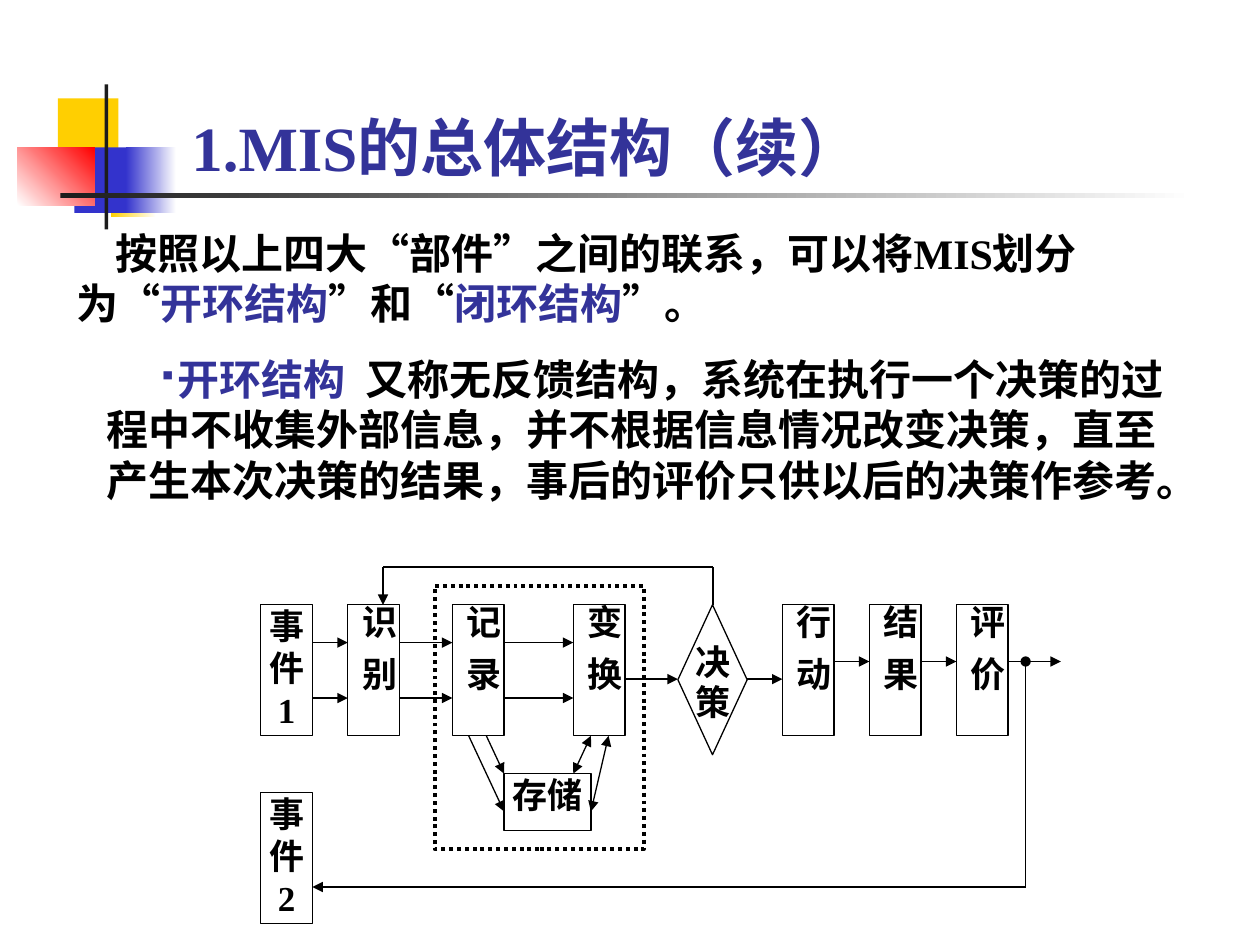
from dataclasses import dataclass

from lxml.etree import SubElement
from pptx import Presentation
from pptx.dml.color import RGBColor
from pptx.enum.dml import MSO_LINE
from pptx.enum.shapes import MSO_CONNECTOR, MSO_SHAPE
from pptx.enum.text import MSO_ANCHOR, PP_ALIGN
from pptx.oxml.ns import qn
from pptx.util import Inches, Pt

BLACK = RGBColor(0x00, 0x00, 0x00)
WHITE = RGBColor(0xFF, 0xFF, 0xFF)
CHARCOAL = RGBColor(0x1C, 0x1C, 0x1C)
NAVY = RGBColor(0x33, 0x33, 0x99)
BLUE = RGBColor(0x33, 0x33, 0xCC)
YELLOW = RGBColor(0xFF, 0xCF, 0x01)
RED = RGBColor(0xFF, 0x00, 0x00)
LATIN_FONT = "Times New Roman"
ASIAN_FONT = "Noto Sans CJK SC"

BOX_W, BOX_H = 0.41, 1.04
ROW_TOP = 4.8
ROW_BOTTOM = ROW_TOP + BOX_H
UPPER, LOWER, MIDDLE, DECISION_Y = 5.1, 5.54, 5.25, 5.39
EVENT_X, IDENTIFY_X, RECORD_X, CONVERT_X = 2.07, 2.76, 3.59, 4.55
DECISION_X, ACTION_X, RESULT_X, REVIEW_X = 5.38, 6.21, 6.9, 7.59
EVENT_2_TOP = 6.29
STORE_LEFT, STORE_RIGHT, STORE_TOP, STORE_SIDE = 4.0, 4.69, 6.14, 6.44
LOOP_Y, LOOP_START, LOOP_END = 4.5, 5.66, 3.04
RETURN_X, RETURN_Y = 8.14, 7.04


@dataclass
class Run:
    text: str
    color: RGBColor = BLACK
    spacing: float = 0


@dataclass
class Bar:
    left: float
    top: float
    width: float
    height: float
    start: RGBColor
    end: RGBColor | None = None
    angle: int = 0


@dataclass
class Node:
    runs: list[Run]
    left: float
    top: float = ROW_TOP
    width: float = BOX_W
    height: float = BOX_H
    shape: MSO_SHAPE = MSO_SHAPE.RECTANGLE
    vertical: bool = False
    leading: float = 24


@dataclass
class Link:
    x1: float
    y1: float
    x2: float
    y2: float
    head: str | None = None
    tail: str | None = "triangle"


def stage(first: str, second: str, left: float) -> Node:
    return Node([Run(first), Run(" ", spacing=5), Run(second)], left, vertical=True)


BARS = [
    Bar(0.46, 0.78, 0.48, 0.52, YELLOW),
    Bar(0.88, 1.2, 0.36, 0.52, YELLOW, WHITE),
    Bar(0.59, 1.17, 0.46, 0.52, BLUE),
    Bar(1, 1.17, 0.4, 0.52, BLUE, WHITE),
    Bar(0.14, 1.17, 0.61, 0.46, WHITE, RED, 45),
    Bar(0.83, 0.67, 0.03, 1.15, CHARCOAL),
    Bar(0.48, 1.53, 9, 0.04, CHARCOAL, WHITE),
]

NODES = [
    Node([Run("事件1")], EVENT_X),
    Node([Run("事件2")], EVENT_X, EVENT_2_TOP),
    stage("识", "别", IDENTIFY_X),
    stage("记", "录", RECORD_X),
    stage("变", "换", CONVERT_X),
    stage("行", "动", ACTION_X),
    stage("结", "果", RESULT_X),
    stage("评", "价", REVIEW_X),
    Node([Run("存储")], STORE_LEFT, STORE_TOP, 0.69, 0.45),
    Node([Run("决策")], DECISION_X, ROW_TOP, 0.55, 1.19,
         MSO_SHAPE.FLOWCHART_DECISION, leading=23),
]

PAIRED = [(EVENT_X, IDENTIFY_X), (IDENTIFY_X, RECORD_X), (RECORD_X, CONVERT_X)]
LINKS = [Link(a + BOX_W, y, b, y) for a, b in PAIRED for y in (UPPER, LOWER)] + [
    Link(CONVERT_X + BOX_W, DECISION_Y, DECISION_X, DECISION_Y),
    Link(DECISION_X + 0.55, DECISION_Y, ACTION_X, DECISION_Y),
    Link(ACTION_X + BOX_W, MIDDLE, RESULT_X, MIDDLE),
    Link(RESULT_X + BOX_W, MIDDLE, REVIEW_X, MIDDLE),
    Link(REVIEW_X + BOX_W, MIDDLE, 8.42, MIDDLE),
    Link(3.86, ROW_BOTTOM, STORE_LEFT, STORE_TOP),
    Link(3.72, ROW_BOTTOM, STORE_LEFT, STORE_SIDE),
    Link(4.55, STORE_TOP, 4.69, ROW_BOTTOM, head="triangle"),
    Link(4.83, ROW_BOTTOM, STORE_RIGHT, STORE_SIDE, head="triangle"),
    Link(LOOP_START, ROW_TOP, LOOP_START, LOOP_Y, tail=None),
    Link(LOOP_START, LOOP_Y, LOOP_END, LOOP_Y, tail=None),
    Link(LOOP_END, LOOP_Y, LOOP_END, ROW_TOP),
    Link(RETURN_X, MIDDLE, RETURN_X, RETURN_Y, head="oval", tail=None),
    Link(RETURN_X, RETURN_Y, EVENT_X + BOX_W, RETURN_Y),
]

INTRO = [
    Run("按照以上四大“部件”之间的联系，可以将MIS划分为“"),
    Run("开环结构", NAVY),
    Run("”和“"),
    Run("闭环结构", NAVY),
    Run("”。"),
]
OPEN_LOOP = [
    Run("开环结构", NAVY),
    Run(" ", NAVY, spacing=6),
    Run("又称无反馈结构，系统在执行一个决策的过程中不收集外部信息，"
        "并不根据信息情况改变决策，直至产生本次决策的结果，"
        "事后的评价只供以后的决策作参考。"),
]


def write(sp, runs: list[Run], *, size: float, leading: float | None = None,
          align=PP_ALIGN.LEFT, anchor=MSO_ANCHOR.TOP, insets=(0.1, 0.05, 0.1, 0.05),
          margin: float = 0, indent: float = 0, bullet: str | None = None,
          vertical: bool = False) -> None:
    tf = sp.text_frame
    tf.word_wrap = True
    tf.vertical_anchor = anchor
    tf.margin_left, tf.margin_top, tf.margin_right, tf.margin_bottom = map(Inches, insets)
    if vertical:
        tf._txBody.bodyPr.set("vert", "eaVert")
    p = tf.paragraphs[0]
    props = p._p.get_or_add_pPr()
    props.set("marL", str(Inches(margin)))
    props.set("indent", str(Inches(indent)))
    if bullet:
        color = SubElement(props, qn("a:buClr"))
        SubElement(color, qn("a:srgbClr"), val=str(NAVY))
        SubElement(props, qn("a:buSzPct"), val="60000")
        SubElement(props, qn("a:buChar"), char=bullet)
    p.alignment = align
    if leading:
        p.line_spacing = Pt(leading)
    for run in runs:
        r = p.add_run()
        r.text = run.text
        r.font.size = Pt(size)
        r.font.bold = True
        r.font.name = LATIN_FONT
        r.font.color.rgb = run.color
        rpr = r._r.get_or_add_rPr()
        SubElement(rpr, qn("a:ea"), typeface=ASIAN_FONT)
        if run.spacing:
            rpr.set("spc", str(int(run.spacing * 100)))


def add_text(s, left: float, top: float, width: float, height: float,
             runs: list[Run], **style) -> None:
    sp = s.shapes.add_textbox(*map(Inches, (left, top, width, height)))
    write(sp, runs, **style)


def add_bar(s, bar: Bar) -> None:
    sp = s.shapes.add_shape(MSO_SHAPE.RECTANGLE,
                            *map(Inches, (bar.left, bar.top, bar.width, bar.height)))
    sp.shadow.inherit = False
    sp.line.fill.background()
    if bar.end is None:
        sp.fill.solid()
        sp.fill.fore_color.rgb = bar.start
        return
    sp.fill.gradient()
    sp.fill.gradient_angle = bar.angle
    for stop, color in zip(sp.fill.gradient_stops, (bar.start, bar.end)):
        stop.color.rgb = color


def add_node(s, node: Node) -> None:
    sp = s.shapes.add_shape(node.shape,
                            *map(Inches, (node.left, node.top, node.width, node.height)))
    sp.shadow.inherit = False
    sp.fill.solid()
    sp.fill.fore_color.rgb = WHITE
    sp.line.color.rgb = BLACK
    sp.line.width = Pt(0.75)
    write(sp, node.runs, size=20, leading=node.leading, align=PP_ALIGN.CENTER,
          insets=(0, 0, 0, 0), vertical=node.vertical)


def add_link(s, link: Link) -> None:
    line = s.shapes.add_connector(MSO_CONNECTOR.STRAIGHT,
                                  *map(Inches, (link.x1, link.y1, link.x2, link.y2)))
    line.line.color.rgb = BLACK
    line.line.width = Pt(0.75)
    ln = line.line._get_or_add_ln()
    for tag, end in (("a:headEnd", link.head), ("a:tailEnd", link.tail)):
        if end:
            SubElement(ln, qn(tag), type=end)
    SubElement(line._element.spPr, qn("a:effectLst"))


def add_frame(s, left: float, top: float, width: float, height: float) -> None:
    sp = s.shapes.add_shape(MSO_SHAPE.RECTANGLE, *map(Inches, (left, top, width, height)))
    sp.shadow.inherit = False
    sp.fill.background()
    sp.line.color.rgb = BLACK
    sp.line.width = Pt(2.25)
    sp.line.dash_style = MSO_LINE.ROUND_DOT


def main() -> None:
    prs = Presentation()
    prs.slide_width, prs.slide_height = Inches(10), Inches(7.5)
    s = prs.slides.add_slide(prs.slide_layouts[6])
    for bar in BARS:
        add_bar(s, bar)
    add_text(s, 1.42, 0.63, 7.32, 0.83, [Run("1.MIS的总体结构（续）", NAVY)],
             size=36, anchor=MSO_ANCHOR.BOTTOM, insets=(0.1, 0.05, 0.1, 0))
    add_text(s, 0.51, 1.75, 9.06, 0.9, INTRO, size=24, leading=29, indent=0.31)
    add_text(s, 0.51, 2.75, 9.06, 1.3, OPEN_LOOP, size=24, leading=29,
             margin=0.24, indent=0.41, bullet="▪")
    for node in NODES:
        add_node(s, node)
    for link in LINKS:
        add_link(s, link)
    add_frame(s, 3.45, 4.65, 1.66, 2.09)
    prs.save("out.pptx")


if __name__ == "__main__":
    main()
